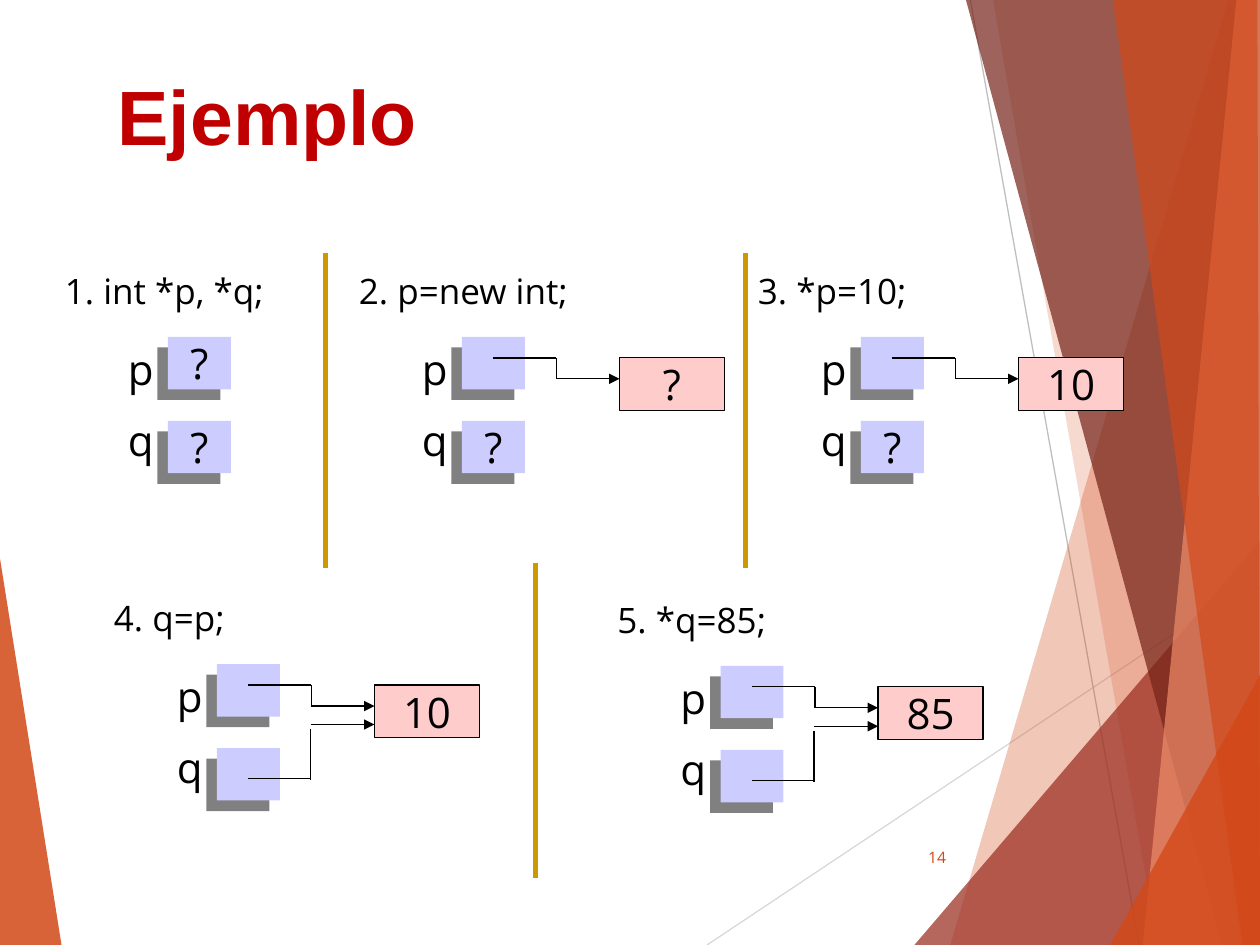
"""Build the pointer example slide: five steps with memory boxes and arrows."""
from lxml import etree
from pptx import Presentation
from pptx.dml.color import RGBColor
from pptx.enum.shapes import MSO_CONNECTOR, MSO_SHAPE
from pptx.enum.text import MSO_ANCHOR, MSO_AUTO_SIZE, PP_ALIGN
from pptx.oxml import parse_xml
from pptx.oxml.ns import qn
from pptx.util import Pt

RECT, LINE = MSO_SHAPE.RECTANGLE, MSO_CONNECTOR.STRAIGHT
TOP, MIDDLE, BOTTOM = MSO_ANCHOR.TOP, MSO_ANCHOR.MIDDLE, MSO_ANCHOR.BOTTOM
LEFT, CENTER, RIGHT = PP_ALIGN.LEFT, PP_ALIGN.CENTER, PP_ALIGN.RIGHT
NO_AUTOFIT = MSO_AUTO_SIZE.NONE
COLORS = {
    "orange": "D34817", "rust": "9B2D1F", "maroon": "742217", "salmon": "EF8C6A",
    "pale": "D9D9D9", "silver": "BFBFBF", "gold": "CC9900", "black": "000000",
    "pointer": "CCCCFF", "value": "FFCCCC", "title": "C00000",
}
RGB = {name: RGBColor.from_string(value) for name, value in COLORS.items()}
SHADOW = (
    '<a:effectLst xmlns:a="http://schemas.openxmlformats.org/drawingml/2006/main">'
    '<a:outerShdw blurRad="0" dist="107950" dir="8100000" algn="ctr" rotWithShape="0">'
    '<a:srgbClr val="808080"/></a:outerShdw></a:effectLst>'
)


def write(s, lines, size, color="black", align=LEFT, anchor=TOP, wrap=True, gap=0,
          name="Open Sans", bold=False):
    tf = s.text_frame
    frame = {"word_wrap": wrap, "vertical_anchor": anchor, "auto_size": NO_AUTOFIT}
    for key, value in frame.items():
        setattr(tf, key, value)
    for i, line in enumerate(lines):
        p = tf.add_paragraph() if i else tf.paragraphs[0]
        p.alignment = align
        p.space_before = Pt(gap if i else 0)
        r = p.add_run()
        r.text = line
        for key, value in {"name": name, "size": Pt(size), "bold": bold}.items():
            setattr(r.font, key, value)
        r.font.color.rgb = RGB[color]


def draw_line(x1, y1, x2, y2, color="black", width=0.75, arrow=False):
    s = slide.shapes.add_connector(LINE, Pt(x1), Pt(y1), Pt(x2), Pt(y2))
    s.line.color.rgb = RGB[color]
    s.line.width = Pt(width)
    if arrow:
        etree.SubElement(s.line._get_or_add_ln(), qn("a:tailEnd"), type="triangle")
    etree.SubElement(s._element.spPr, qn("a:effectLst"))


prs = Presentation()
prs.slide_width, prs.slide_height = Pt(720), Pt(540)
slide = prs.slides.add_slide(prs.slide_layouts[5])

facets = [
    ("orange", 85, [(-0.5, 316), (35.25, 540.5), (-0.5, 540)]),
    ("orange", 30, [(702, 0), (543, 540), (721, 540), (721, 0)]),
    ("orange", 20, [(567.5, 0), (661.5, 540), (720.5, 540), (720.5, 0)]),
    ("rust", 72, [(522.5, 540), (720, 309), (720.5, 540)]),
    ("maroon", 70, [(552, 0), (698.5, 540), (720.5, 540), (720.5, 0)]),
    ("salmon", 70, [(706.5, 0), (653, 540), (720.5, 540), (720, 0)]),
    ("orange", 65, [(636, 0), (710, 540), (720, 540), (718.5, 0)]),
    ("orange", 80, [(634.5, 540), (720.5, 385), (720.5, 540)]),
]
draw_line(404, 540, 720.5, 329, "pale")
draw_line(554.5, 0, 651, 540, "silver")
for color, alpha, corners in facets:
    points = [(Pt(x), Pt(y)) for x, y in corners]
    builder = slide.shapes.build_freeform(*points[0])
    builder.add_line_segments(points[1:], close=True)
    s = builder.convert_to_shape()
    s.shadow.inherit = False
    s.fill.solid()
    s.fill.fore_color.rgb = RGB[color]
    s.line.fill.background()
    fill_color = s._element.spPr.find(qn("a:solidFill"))[0]
    etree.SubElement(fill_color, qn("a:alpha"), val=str(alpha * 1000))

title = slide.shapes.title
for key, value in {"left": 60, "top": 50.5, "width": 226, "height": 45.5}.items():
    setattr(title, key, Pt(value))
write(title, ["Ejemplo"], 44, "title", anchor=BOTTOM, name="Arial", bold=True)
title.text_frame.paragraphs[0].line_spacing = 0.9

number = slide.shapes.add_textbox(Pt(507.25), Pt(475.5), Pt(40.5), Pt(28.5))
write(number, ["14"], 9, "orange", RIGHT, MIDDLE)

for x, y in [(186, 144.5), (426, 144.5), (306, 321.5)]:
    draw_line(x, y, x, y + 180, "gold", 3)

steps = [
    (30, 150.5, 152, "1. int *p, *q;", "?", "?", None),
    (198, 150.5, 188, "2. p=new int;", "", "?", "?"),
    (426, 150.5, 216, "3. *p=10;", "", "?", "10"),
    (58, 337.5, 216, "4. q=p;", "", "", "10"),
    (345.75, 338.5, 216, "5. *q=85;", "", "", "85"),
]
for x, y, width, code, p_text, q_text, value in steps:
    label = slide.shapes.add_textbox(Pt(x), Pt(y), Pt(width), Pt(31))
    write(label, [code], 20)
    boxes = [(66, 42, 36, "pointer", p_text), (66, 90, 36, "pointer", q_text)]
    if value:
        boxes.append((156, 54, 60, "value", value))
    for dx, dy, box_width, kind, text in boxes:
        s = slide.shapes.add_shape(RECT, Pt(x + dx), Pt(y + dy), Pt(box_width), Pt(30))
        s.shadow.inherit = False
        s.fill.solid()
        s.fill.fore_color.rgb = RGB[kind]
        if kind == "value":
            s.line.color.rgb = RGB["black"]
            s.line.width = Pt(0.75)
        else:
            s.line.fill.background()
            spPr = s._element.spPr
            spPr.replace(spPr.find(qn("a:effectLst")), parse_xml(SHADOW))
        if text:
            write(s, [text], 24, align=CENTER, anchor=MIDDLE, wrap=False)
    names = slide.shapes.add_textbox(Pt(x + 36), Pt(y + 42), Pt(36), Pt(79))
    write(names, ["p", "q"], 24, gap=12)
    links = []
    if value:
        links += [(84, 54, 120, 54), (120, 54, 120, 66), (120, 66, 156, 66)]
    if not q_text:
        links += [(84, 107.5, 119.5, 107.5), (119.5, 79, 119.5, 108.5),
                  (119.5, 76.5, 156, 76.5)]
    for x1, y1, x2, y2 in links:
        draw_line(x + x1, y + y1, x + x2, y + y2, arrow=x2 == 156)

prs.save("out.pptx")
